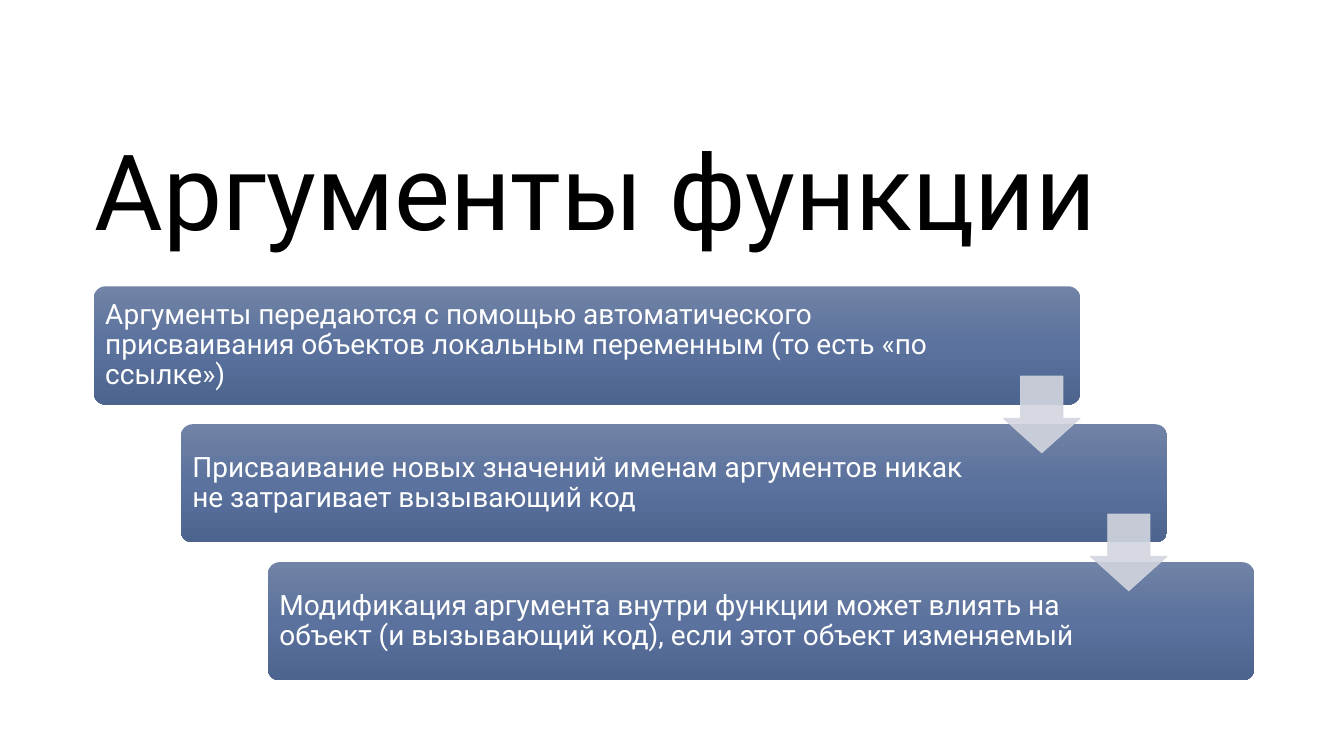
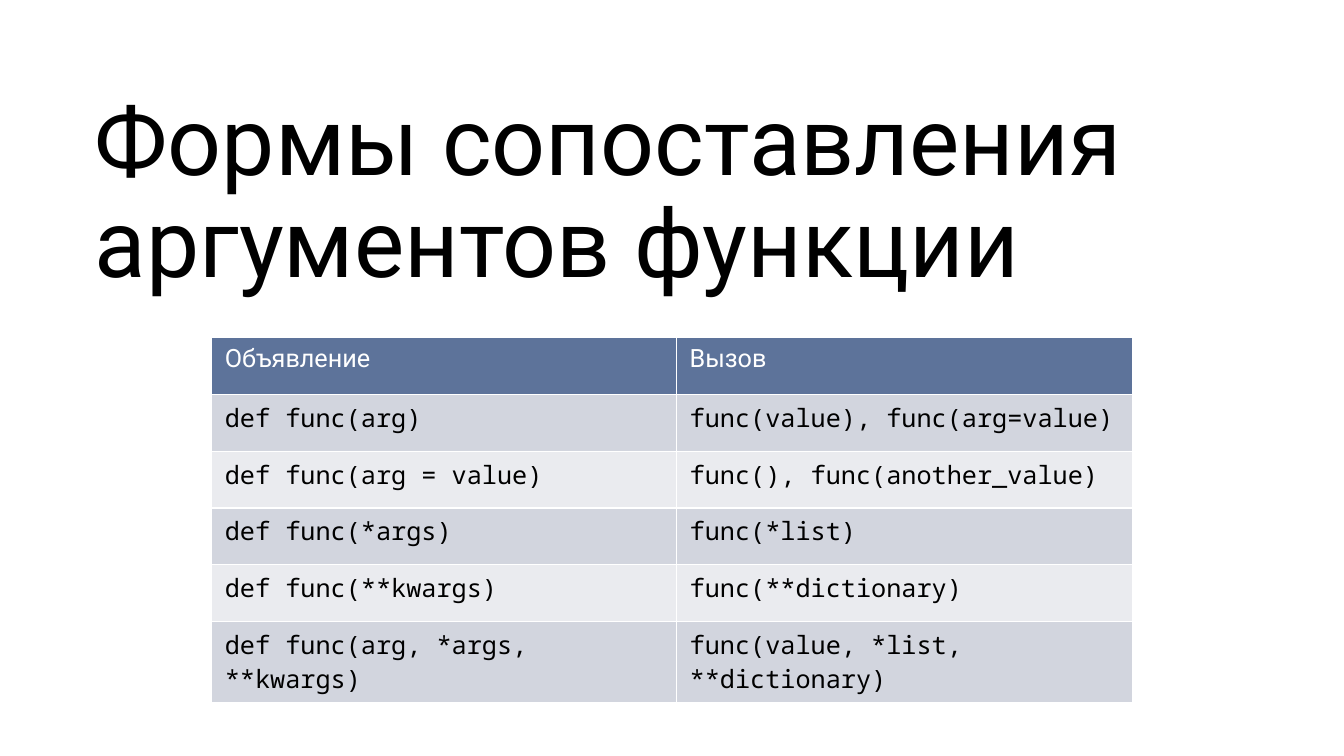
import copy

import pptx
import pptx.dml.color
import pptx.enum.shapes
import pptx.enum.text
import pptx.oxml
import pptx.oxml.ns
import pptx.util

SLIDE_WIDTH, SLIDE_HEIGHT = 13.33, 7.5
TITLE_BOX = (0.94, 1.22, 11.5, 1.45)
STAIRCASE_BOX = (0.93, 2.84, 11.51, 3.91)
TABLE_BOX = (2.1, 3.35, 9.13, 3.38)

TEXT_FONT, CODE_FONT = "Roboto", "Noto Sans Mono"
BLACK, WHITE = "000000", "FFFFFF"
HEADER_COLOR = "5D739A"
BAND_COLORS = ("D2D5DE", "EAEBEF")
ARROW_COLOR = "D2D5DE"
CARD_GRADIENT = ((0, "7183A6"), (0.5, "5A729D"), (1, "4D658E"))

CARDS = (
    # text, right inset in inches
    ("Аргументы передаются с помощью автоматического присваивания объектов "
     "локальным переменным (то есть «по ссылке»)", 1.28),
    ("Присваивание новых значений именам аргументов никак не затрагивает "
     "вызывающий код", 1.71),
    ("Модификация аргумента внутри функции может влиять на объект "
     "(и вызывающий код), если этот объект изменяемый", 1.71),
)
ROWS = (
    ("Объявление", "Вызов"),
    ("def func(arg)", "func(value), func(arg=value)"),
    ("def func(arg = value)", "func(), func(another_value)"),
    ("def func(*args)", "func(*list)"),
    ("def func(**kwargs)", "func(**dictionary)"),
    ("def func(arg, *args, **kwargs)", "func(value, *list, **dictionary)"),
)
COLUMN_SHARES = (0.505, 0.495)


def color(hex_string):
    """Turn a hex string into a colour."""
    return pptx.dml.color.RGBColor.from_string(hex_string)


def inches(*lengths):
    """Turn lengths in inches into slide units."""
    return [pptx.util.Inches(length) for length in lengths]


def set_insets(target, left, top, right, bottom):
    """Set the inner margins of a text frame or a table cell."""
    (target.margin_left, target.margin_top,
     target.margin_right, target.margin_bottom) = inches(left, top, right, bottom)


def write_text(text_frame, text, size, hex_string, font_name=TEXT_FONT, spacing=None):
    """Write one left-aligned paragraph and format it."""
    text_frame.text = text
    text_frame.word_wrap = True
    paragraph = text_frame.paragraphs[0]
    paragraph.alignment = pptx.enum.text.PP_ALIGN.LEFT
    paragraph.line_spacing = spacing
    for run in paragraph.runs:
        run.font.name = font_name
        run.font.size = pptx.util.Pt(size)
        run.font.bold = False
        run.font.color.rgb = color(hex_string)


def add_titled_slide(presentation, text, size):
    """Add a slide with the shared title style."""
    slide = presentation.slides.add_slide(presentation.slide_layouts[5])
    title = slide.shapes.title
    title.left, title.top, title.width, title.height = inches(*TITLE_BOX)
    text_frame = title.text_frame
    write_text(text_frame, text, size, BLACK, spacing=0.9)
    text_frame.auto_size = pptx.enum.text.MSO_AUTO_SIZE.NONE
    text_frame.vertical_anchor = pptx.enum.text.MSO_ANCHOR.MIDDLE
    set_insets(text_frame, 0, 0, 0, 0)
    return slide


def add_card(slide, box, text, right_inset):
    """Add a rounded card with a vertical gradient and its text."""
    card = slide.shapes.add_shape(
        pptx.enum.shapes.MSO_SHAPE.ROUNDED_RECTANGLE, *inches(*box))
    card.adjustments[0] = 0.1
    card.shadow.inherit = False
    card.line.fill.background()
    card.fill.gradient()
    card.fill.gradient_angle = 270
    stop_list = card._element.spPr.find(".//" + pptx.oxml.ns.qn("a:gsLst"))
    stop_list.append(copy.deepcopy(stop_list[0]))
    for stop, (position, hex_string) in zip(card.fill.gradient_stops, CARD_GRADIENT):
        stop.position = position
        stop.color.rgb = color(hex_string)
    write_text(card.text_frame, text, 20, WHITE, spacing=0.9)
    card.text_frame.vertical_anchor = pptx.enum.text.MSO_ANCHOR.MIDDLE
    set_insets(card.text_frame, 0.08, 0.08, right_inset, 0.08)


def add_arrow(slide, box):
    """Add a slightly transparent arrow that points down."""
    arrow = slide.shapes.add_shape(
        pptx.enum.shapes.MSO_SHAPE.DOWN_ARROW, *inches(*box))
    arrow.adjustments[0], arrow.adjustments[1] = 0.55, 0.45
    arrow.shadow.inherit = False
    arrow.fill.solid()
    arrow.fill.fore_color.rgb = color(ARROW_COLOR)
    arrow.line.color.rgb = color(ARROW_COLOR)
    arrow.line.width = pptx.util.Pt(0.5)
    for element in arrow._element.spPr.iter(pptx.oxml.ns.qn("a:srgbClr")):
        alpha = element.makeelement(pptx.oxml.ns.qn("a:alpha"), {"val": "90000"})
        element.append(alpha)


def add_staircase(slide, box, cards):
    """Place cards as descending steps, with an arrow from each to the next."""
    left, top, width, height = box
    card_width, card_height = 0.85 * width, 0.3 * height
    step_x = (width - card_width) / (len(cards) - 1)
    step_y = (height - card_height) / (len(cards) - 1)
    arrow_side = 0.65 * card_height
    for index, (text, right_inset) in enumerate(cards):
        add_card(slide, (left + index * step_x, top + index * step_y,
                         card_width, card_height), text, right_inset)
    for index in range(len(cards) - 1):
        card_right = left + index * step_x + card_width
        card_bottom = top + index * step_y + card_height
        add_arrow(slide, (card_right - arrow_side, card_bottom - 0.37 * arrow_side,
                          arrow_side, arrow_side))


def set_borders(cell, hex_string, points):
    """Draw all four borders of a table cell."""
    properties = cell._tc.get_or_add_tcPr()
    for index, side in enumerate(("lnL", "lnR", "lnT", "lnB")):
        properties.insert(index, pptx.oxml.parse_xml(
            f'<a:{side} {pptx.oxml.ns.nsdecls("a")} w="{pptx.util.Pt(points)}">'
            f'<a:solidFill><a:srgbClr val="{hex_string}"/></a:solidFill></a:{side}>'))


def add_code_table(slide, box, rows):
    """Add a banded table with a header row and code below it."""
    table = slide.shapes.add_table(len(rows), len(COLUMN_SHARES), *inches(*box)).table
    table.first_row = table.horz_banding = False
    for column, share in zip(table.columns, COLUMN_SHARES):
        column.width = pptx.util.Inches(share * box[2])
    for row_index, texts in enumerate(rows):
        if row_index == 0:
            fill, text_color, font_name = HEADER_COLOR, WHITE, TEXT_FONT
        else:
            fill = BAND_COLORS[(row_index - 1) % 2]
            text_color, font_name = BLACK, CODE_FONT
        for column_index, text in enumerate(texts):
            cell = table.cell(row_index, column_index)
            write_text(cell.text_frame, text, 18, text_color, font_name)
            set_insets(cell, 0.13, 0.06, 0.13, 0.06)
            cell.fill.solid()
            cell.fill.fore_color.rgb = color(fill)
            set_borders(cell, WHITE, 1)


def main():
    """Build and save the presentation."""
    presentation = pptx.Presentation()
    presentation.slide_width, presentation.slide_height = inches(SLIDE_WIDTH, SLIDE_HEIGHT)
    slide = add_titled_slide(presentation, "Аргументы функции", 75.2)
    add_staircase(slide, STAIRCASE_BOX, CARDS)
    slide = add_titled_slide(presentation, "Формы сопоставления аргументов функции", 67.7)
    add_code_table(slide, TABLE_BOX, ROWS)
    presentation.save("out.pptx")


main()
